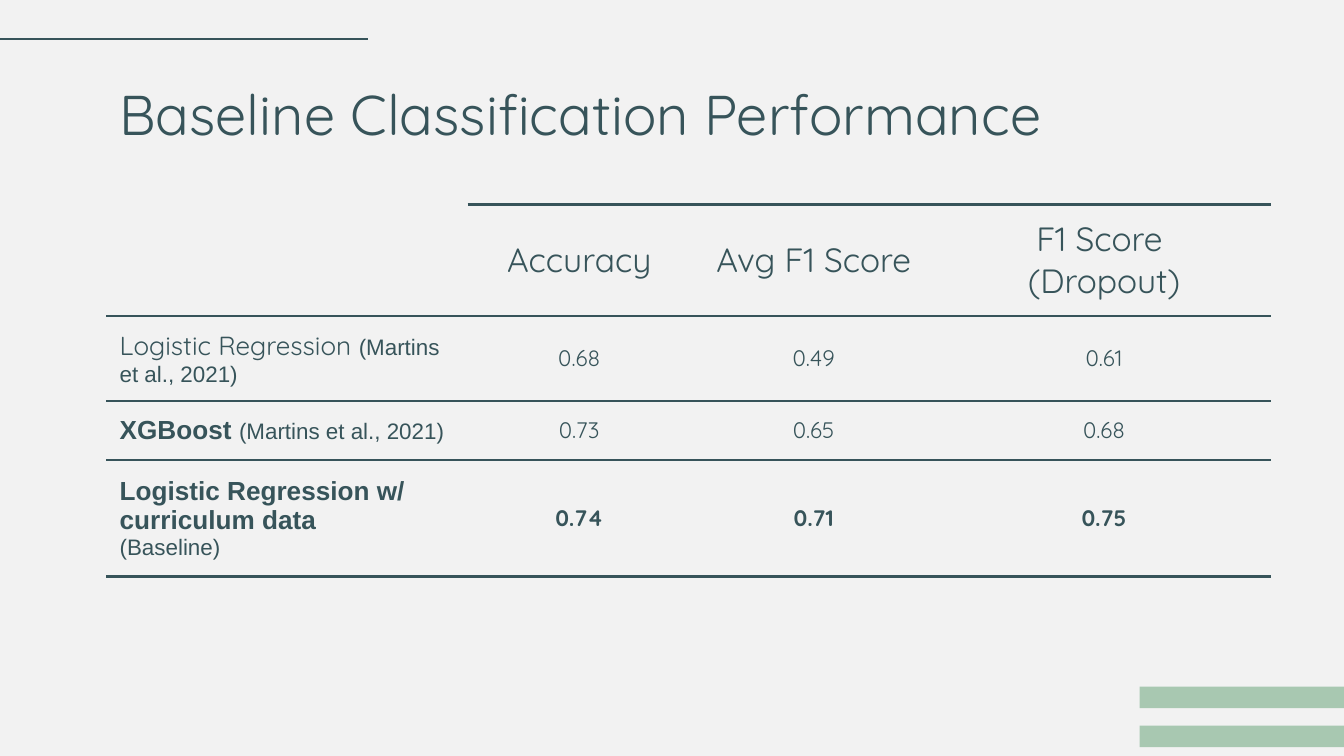
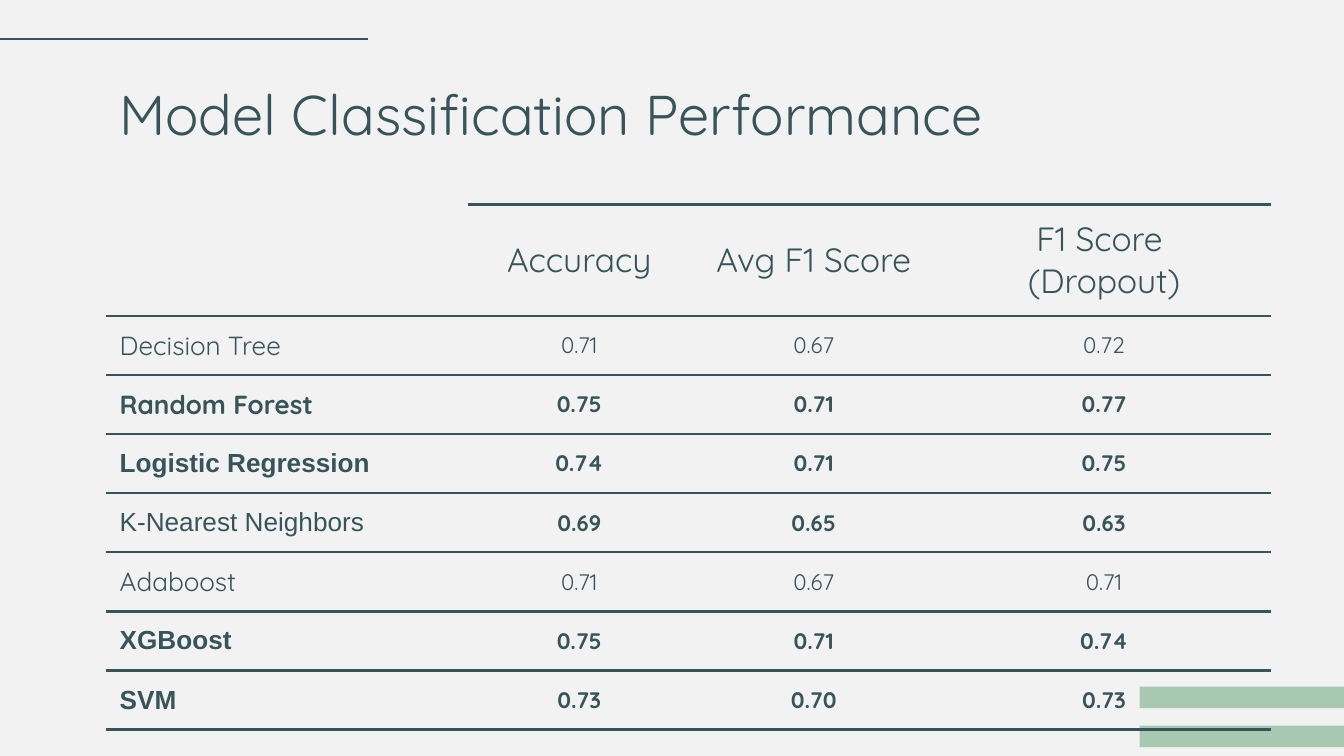
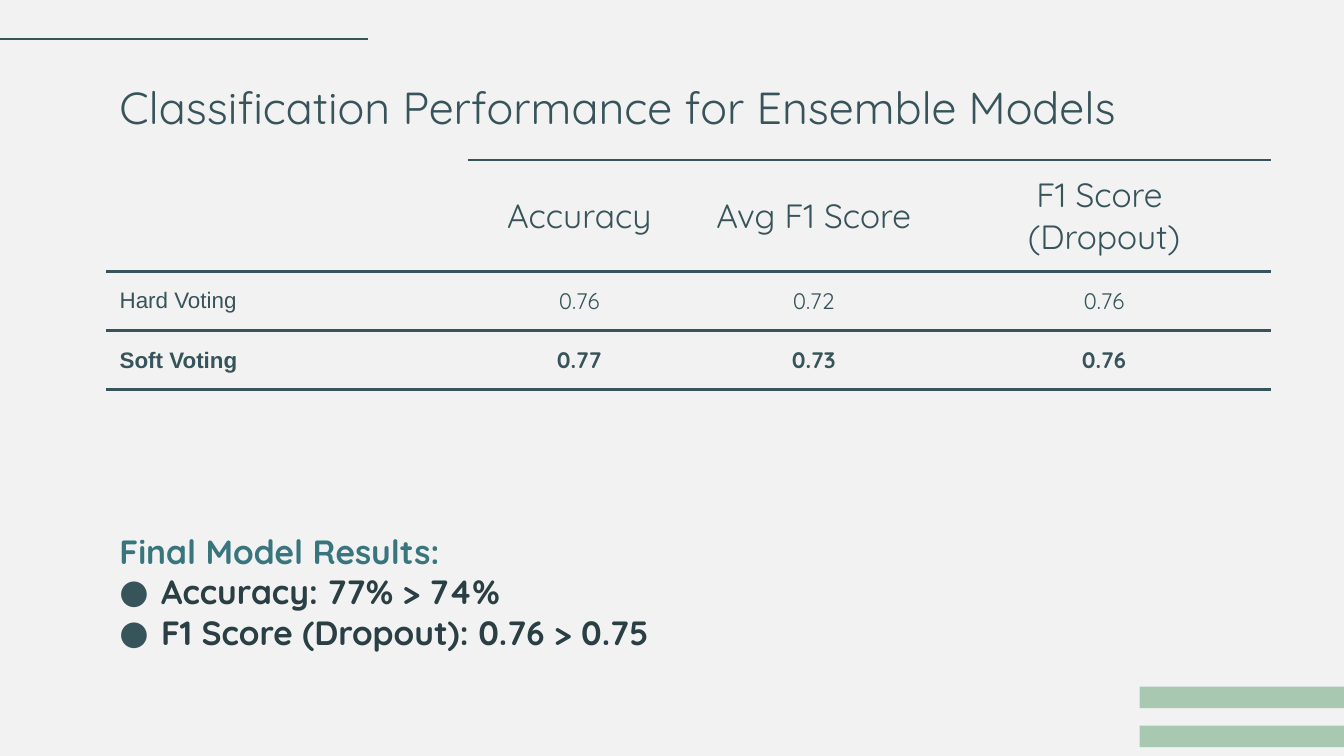
from lxml import etree
from pptx import Presentation
from pptx.dml.color import RGBColor
from pptx.enum import shapes as kind, text as tx
from pptx.oxml import ns
from pptx.util import Inches, Pt

HUES = {"page": "F2F2F2", "ink": "37545A", "bar": "A8C8B1", "teal": "38757D", "dark": "293F44"}
MAIN, PLAIN = "Quicksand", "Arial"
NO_STYLE = "{2D5ABB26-0587-4C30-8999-92F81FD0307C}"
LEFT, WIDE = 0.79, 8.43
COLS = [2.69, 1.66, 1.83, 2.49]
HEAD_ROW, ROW = 0.83, 0.44
HEADS = [["Accuracy"], ["Avg F1 Score"], ["F1 Score ", "(Dropout)"]]


def bit(words, size=14, face=MAIN, bold=False, hue="ink"):
    return words, size, face, bold, hue


CITE = bit("(Martins et al., 2021)", 12, PLAIN)
PAGES = [
    {
        "title": "Baseline Classification Performance", "size": 30, "top": 1.52,
        "rows": [
            ([[bit("Logistic Regression "), CITE]], False, ["0.68", "0.49", "0.61"]),
            ([[bit("XGBoost ", 14, PLAIN, True), CITE]], False, ["0.73", "0.65", "0.68"]),
            ([[bit("Logistic Regression w/ curriculum data", 14, PLAIN, True)],
              [bit("(Baseline)", 12, PLAIN)]], True, ["0.74", "0.71", "0.75"]),
        ],
    },
    {
        "title": "Model Classification Performance", "size": 30, "top": 1.52,
        "rows": [
            ([[bit("Decision Tree")]], False, ["0.71", "0.67", "0.72"]),
            ([[bit("Random Forest", bold=True)]], True, ["0.75", "0.71", "0.77"]),
            ([[bit("Logistic Regression", 14, PLAIN, True)]], True, ["0.74", "0.71", "0.75"]),
            ([[bit("K-Nearest Neighbors", 14, PLAIN)]], True, ["0.69", "0.65", "0.63"]),
            ([[bit("Adaboost")]], False, ["0.71", "0.67", "0.71"]),
            ([[bit("XGBoost", 14, PLAIN, True)]], True, ["0.75", "0.71", "0.74"]),
            ([[bit("SVM", 14, PLAIN, True)]], True, ["0.73", "0.70", "0.73"]),
        ],
    },
    {
        "title": "Classification Performance for Ensemble Models", "size": 24, "top": 1.19,
        "rows": [
            ([[bit("Hard Voting", 12, PLAIN)]], False, ["0.76", "0.72", "0.76"]),
            ([[bit("Soft Voting", 12, PLAIN, True)]], True, ["0.77", "0.73", "0.76"]),
        ],
        "notes": ("Final Model Results:",
                  ["Accuracy: 77% > 74%", "F1 Score (Dropout): 0.76 > 0.75"]),
    },
]


def rgb(hue):
    return RGBColor.from_string(HUES[hue])


def style(font, size, face, bold, hue):
    font.size, font.name, font.bold = Pt(size), face, bold
    font.color.rgb = rgb(hue)


def write(frame, paras, align=tx.PP_ALIGN.LEFT):
    for num, bits in enumerate(paras):
        para = frame.paragraphs[0] if num == 0 else frame.add_paragraph()
        para.alignment = align
        for words, *look in bits:
            run = para.add_run()
            run.text = words
            style(para.font if len(bits) == 1 else run.font, *look)


def inset(part, low=0.1):
    part.margin_left = part.margin_right = part.margin_top = Inches(0.1)
    part.margin_bottom = Inches(low)


def add_text(slide, box, paras, anchor=tx.MSO_ANCHOR.TOP, low=0.1):
    frame = slide.shapes.add_textbox(*map(Inches, box)).text_frame
    frame.word_wrap = True
    frame.vertical_anchor = anchor
    inset(frame, low)
    write(frame, paras)
    return frame


def node(tag, home=None, **attrs):
    item = etree.Element(ns.qn(tag), attrs)
    if home is not None:
        home.append(item)
    return item


def border(cell, sides):
    props = cell._tc.get_or_add_tcPr()
    for spot, side in enumerate(sides):
        line = node("a:ln" + side, w=str(Pt(1.5)))
        node("a:srgbClr", node("a:solidFill", line), val=HUES["ink"])
        props.insert(spot, line)


def bullet(para):
    props = para._p.get_or_add_pPr()
    props.set("marL", str(Inches(0.31)))
    props.set("indent", str(-Inches(0.31)))
    color = node("a:buClr")
    node("a:srgbClr", color, val=HUES["ink"])
    marks = [color, node("a:buFont", typeface=MAIN), node("a:buChar", char="●")]
    for spot, mark in enumerate(marks):
        props.insert(spot, mark)


def add_frame(slide):
    for top in (5.11, 5.4):
        bar = slide.shapes.add_shape(kind.MSO_SHAPE.RECTANGLE, *map(Inches, (8.48, top, 1.52, 0.16)))
        bar.shadow.inherit = False
        bar.fill.solid()
        bar.fill.fore_color.rgb = rgb("bar")
        bar.line.fill.background()
    rule = slide.shapes.add_connector(kind.MSO_CONNECTOR.STRAIGHT, *map(Inches, (0, 0.29, 2.74, 0.29)))
    rule.line.color.rgb = rgb("ink")
    rule.line.width = Pt(1.5)
    node("a:effectLst", rule._element.spPr)


def add_scores(slide, top, rows):
    grid = [[[]] + [[[bit(line, 18)] for line in head] for head in HEADS]]
    for label, bold, scores in rows:
        grid.append([label] + [[[bit(score, 12, MAIN, bold)]] for score in scores])
    high = HEAD_ROW + ROW * len(rows)
    table = slide.shapes.add_table(len(grid), len(COLS), *map(Inches, (LEFT, top, sum(COLS), high))).table
    table.first_row = table.horz_banding = False
    table._tbl.tblPr.find(ns.qn("a:tableStyleId")).text = NO_STYLE
    for col, wide in zip(table.columns, COLS):
        col.width = Inches(wide)
    for y, line in enumerate(grid):
        table.rows[y].height = Inches(ROW if y else HEAD_ROW)
        for x, paras in enumerate(line):
            cell = table.cell(y, x)
            cell.fill.background()
            cell.vertical_anchor = tx.MSO_ANCHOR.MIDDLE
            inset(cell)
            write(cell.text_frame, paras, tx.PP_ALIGN.CENTER if x else tx.PP_ALIGN.LEFT)
            border(cell, "TB" if x or y else "B")


def add_notes(slide, head, points):
    paras = [[bit(head, 18, MAIN, True, "teal")]]
    paras += [[bit(point, 18, MAIN, True, "dark")] for point in points]
    frame = add_text(slide, (LEFT, 3.62, 5.68, 1.64), paras, tx.MSO_ANCHOR.BOTTOM, 0.41)
    for para in frame.paragraphs[1:]:
        bullet(para)


def main():
    deck = Presentation()
    deck.slide_width = Inches(10)
    deck.slide_height = deck.slide_width * 9 // 16
    for page in PAGES:
        slide = deck.slides.add_slide(deck.slide_layouts[6])
        slide.background.fill.solid()
        slide.background.fill.fore_color.rgb = rgb("page")
        add_frame(slide)
        add_text(slide, (LEFT, 0.49, WIDE, 0.63), [[bit(page["title"], page["size"])]])
        add_scores(slide, page["top"], page["rows"])
        if "notes" in page:
            add_notes(slide, *page["notes"])
    deck.save("out.pptx")


if __name__ == "__main__":
    main()
